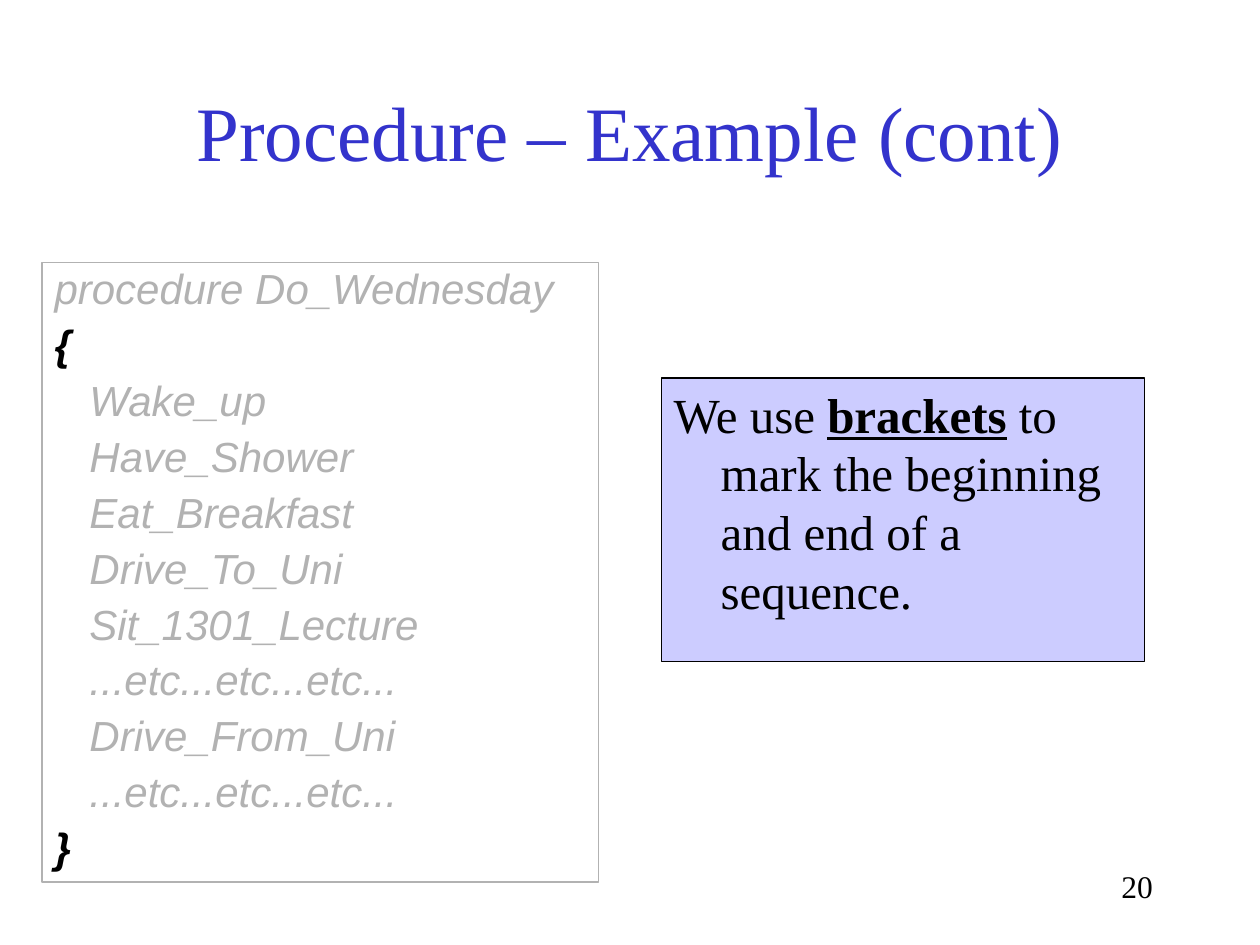
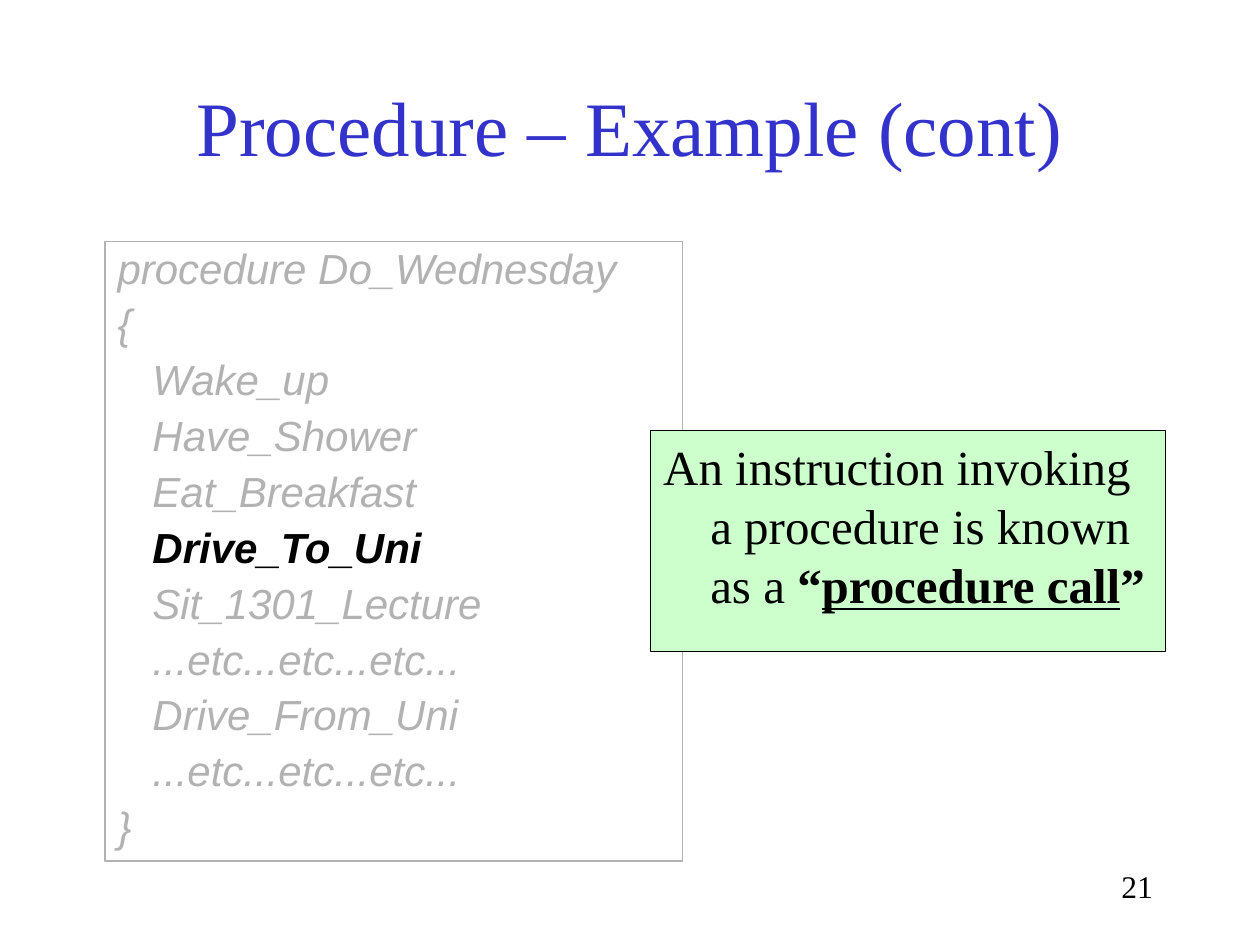
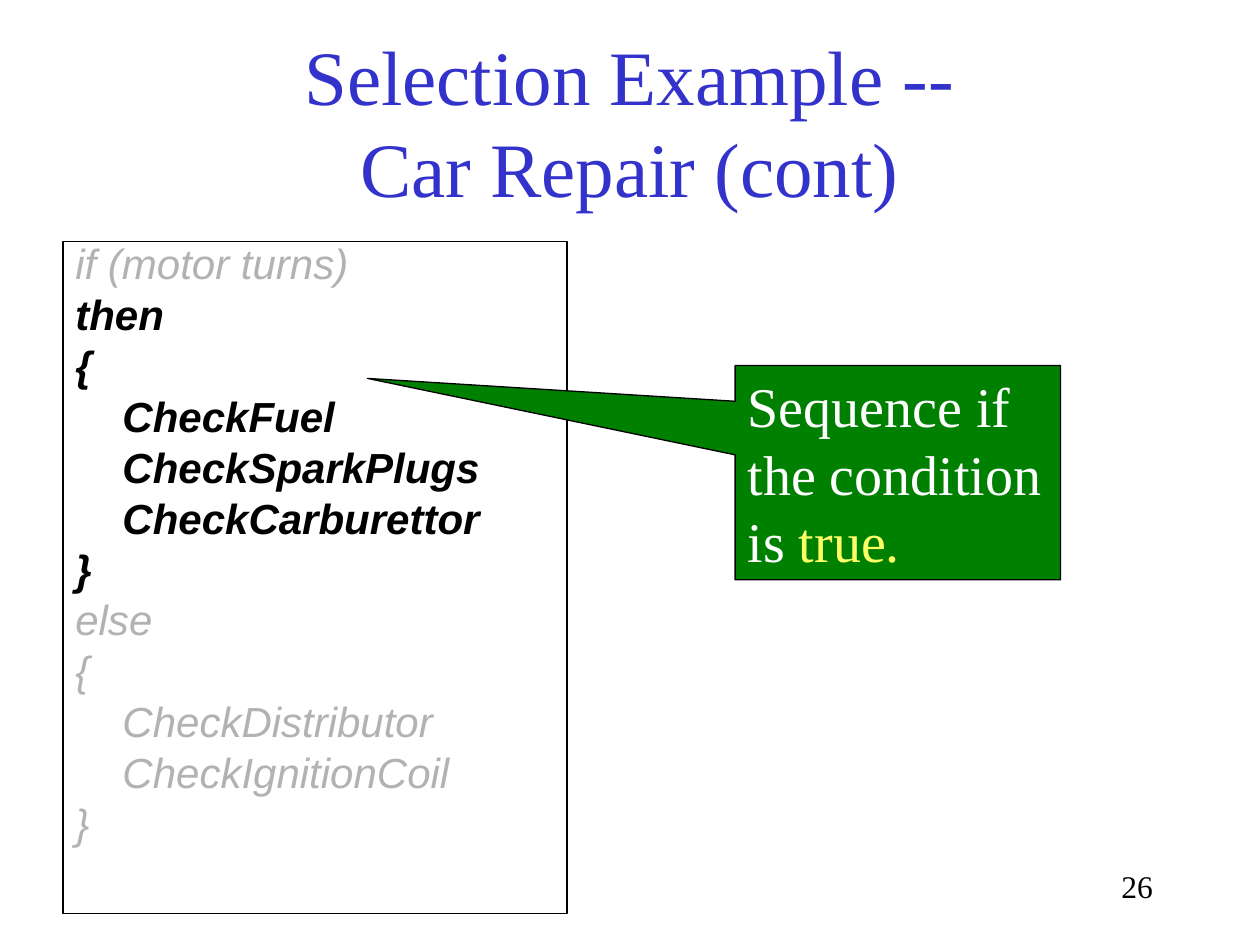
import dataclasses
import typing

import pptx
import pptx.dml.color
import pptx.enum.shapes
import pptx.enum.text
import pptx.util
from pptx.util import Cm

MSO_SHAPE = pptx.enum.shapes.MSO_SHAPE
ALIGN = pptx.enum.text.PP_ALIGN
ANCHOR = pptx.enum.text.MSO_ANCHOR

# Shared style
COLORS = {
    "title": "3333CC",
    "ink": "000000",
    "muted": "B2B2B2",
    "lavender": "CCCCFF",
    "mint": "CCFFCC",
    "green": "008000",
    "white": "FFFFFF",
    "yellow": "FFFF66",
}
SERIF, SANS = "Times New Roman", "Arial"
HANGING = Cm(0.95)


class Area(typing.NamedTuple):
    left: float
    top: float
    width: float
    height: float


class Span(typing.NamedTuple):
    text: str
    color: str | None = None
    bold: bool = False
    underline: bool = False


Paragraphs = list[list[Span]]


@dataclasses.dataclass(frozen=True)
class Code:
    area: Area
    lines: list[str]
    active: set[int]
    line_spacing: float = 0.9
    border: str = "muted"


@dataclasses.dataclass(frozen=True)
class Note:
    area: Area
    spans: list[Span]
    fill: str
    color: str = "ink"
    size: int = 28
    hanging: bool = True
    anchor: ANCHOR = ANCHOR.TOP
    shape: MSO_SHAPE = MSO_SHAPE.RECTANGLE
    pointer: tuple[float, ...] = ()


@dataclasses.dataclass(frozen=True)
class Page:
    number: int
    title: str
    title_area: Area
    code: Code
    note: Note


def rgb(name: str) -> pptx.dml.color.RGBColor:
    return pptx.dml.color.RGBColor.from_string(COLORS[name])


def write(shape, paragraphs: Paragraphs, *, size: int, color: str, font: str = SERIF,
          italic: bool = False, align: ALIGN = ALIGN.LEFT, anchor: ANCHOR = ANCHOR.TOP,
          hanging: bool = False, line_spacing: float | None = None, gap: int = 0) -> None:
    """Fill a shape with paragraphs of spans in one format."""
    frame = shape.text_frame
    frame.word_wrap = True
    frame.vertical_anchor = anchor
    for index, spans in enumerate(paragraphs):
        paragraph = frame.add_paragraph() if index else frame.paragraphs[0]
        paragraph.alignment = align
        if line_spacing:
            paragraph.line_spacing = line_spacing
        if index and gap:
            paragraph.space_before = pptx.util.Pt(gap)
        if hanging:
            properties = paragraph._p.get_or_add_pPr()
            properties.set("marL", str(HANGING))
            properties.set("indent", str(-HANGING))
        for span in spans:
            for part, piece in enumerate(span.text.split("\n")):
                if part:
                    paragraph.add_line_break()
                run = paragraph.add_run()
                run.text = piece
                run.font.name = font
                run.font.size = pptx.util.Pt(size)
                run.font.color.rgb = rgb(span.color or color)
                run.font.bold = span.bold
                run.font.italic = italic
                run.font.underline = span.underline


def add_box(slide, area: Area, *, border: str, fill: str | None = None,
            shape: MSO_SHAPE = MSO_SHAPE.RECTANGLE):
    box = slide.shapes.add_shape(shape, *map(Cm, area))
    box.shadow.inherit = False
    if fill:
        box.fill.solid()
        box.fill.fore_color.rgb = rgb(fill)
    else:
        box.fill.background()
    box.line.color.rgb = rgb(border)
    box.line.width = pptx.util.Pt(0.75)
    return box


def add_code(slide, code: Code) -> None:
    listing = [[Span(line, "ink", bold=True) if row in code.active else Span(line)]
               for row, line in enumerate(code.lines)]
    write(add_box(slide, code.area, border=code.border), listing, size=24, color="muted",
          font=SANS, italic=True, hanging=True, line_spacing=code.line_spacing, gap=6)


def add_note(slide, note: Note) -> None:
    box = add_box(slide, note.area, border="ink", fill=note.fill, shape=note.shape)
    for index, value in enumerate(note.pointer):
        box.adjustments[index] = value
    write(box, [note.spans], size=note.size, color=note.color,
          hanging=note.hanging, anchor=note.anchor)


def add_page(deck, page: Page) -> None:
    slide = deck.slides.add_slide(deck.slide_layouts[6])
    heading = slide.shapes.add_textbox(*map(Cm, page.title_area))
    write(heading, [[Span(page.title)]], size=44, color="title",
          align=ALIGN.CENTER, anchor=ANCHOR.MIDDLE)
    add_code(slide, page.code)
    add_note(slide, page.note)
    page_number = slide.shapes.add_textbox(*map(Cm, NUMBER_AREA))
    write(page_number, [[Span(str(page.number))]], size=18, color="ink", align=ALIGN.RIGHT)


# Content
NUMBER_AREA = Area(18.2, 17.36, 5.29, 1.27)
PROCEDURE_TITLE = "Procedure – Example (cont)"
WEDNESDAY = [
    "procedure Do_Wednesday",
    "{",
    "   Wake_up",
    "   Have_Shower",
    "   Eat_Breakfast",
    "   Drive_To_Uni",
    "   Sit_1301_Lecture",
    "   ...etc...etc...etc...",
    "   Drive_From_Uni",
    "   ...etc...etc...etc...",
    "}",
]
CAR_REPAIR = [
    "if (motor turns)",
    "then",
    "{",
    "\tCheckFuel",
    "\tCheckSparkPlugs",
    "\tCheckCarburettor",
    "}",
    "else",
    "{",
    "\tCheckDistributor",
    "\tCheckIgnitionCoil",
    "}",
]

PAGES = [
    Page(
        20, PROCEDURE_TITLE, Area(1.9, 1.47, 21.59, 2.33),
        Code(Area(0.85, 5.29, 11.22, 12.49), WEDNESDAY, active={1, 10}),
        Note(Area(13.33, 7.62, 9.74, 5.72),
             [Span("We use "), Span("brackets", bold=True, underline=True),
              Span(" to mark the beginning and end of a sequence.")],
             fill="lavender"),
    ),
    Page(
        21, PROCEDURE_TITLE, Area(1.9, 1.27, 21.59, 2.54),
        Code(Area(2.12, 4.87, 11.64, 12.49), WEDNESDAY, active={5}),
        Note(Area(13.12, 8.68, 10.37, 4.45),
             [Span("An instruction invoking a procedure is known as a "),
              Span("“", bold=True), Span("procedure call", bold=True, underline=True),
              Span("”", bold=True)],
             fill="mint"),
    ),
    Page(
        26, "Selection Example --\nCar Repair (cont)", Area(1.9, 0.85, 21.59, 3.18),
        Code(Area(1.27, 4.87, 10.16, 13.55), CAR_REPAIR, active=set(range(1, 7)),
             line_spacing=0.8, border="ink"),
        Note(Area(14.82, 7.37, 6.56, 4.32),
             [Span("Sequence if the condition is "), Span("true.", "yellow")],
             fill="green", color="white", size=32, hanging=False, anchor=ANCHOR.MIDDLE,
             shape=MSO_SHAPE.RECTANGULAR_CALLOUT, pointer=(-1.63, -0.44)),
    ),
]


def main() -> None:
    deck = pptx.Presentation()
    deck.slide_width, deck.slide_height = Cm(25.4), Cm(19.05)
    for page in PAGES:
        add_page(deck, page)
    deck.save("out.pptx")


if __name__ == "__main__":
    main()
